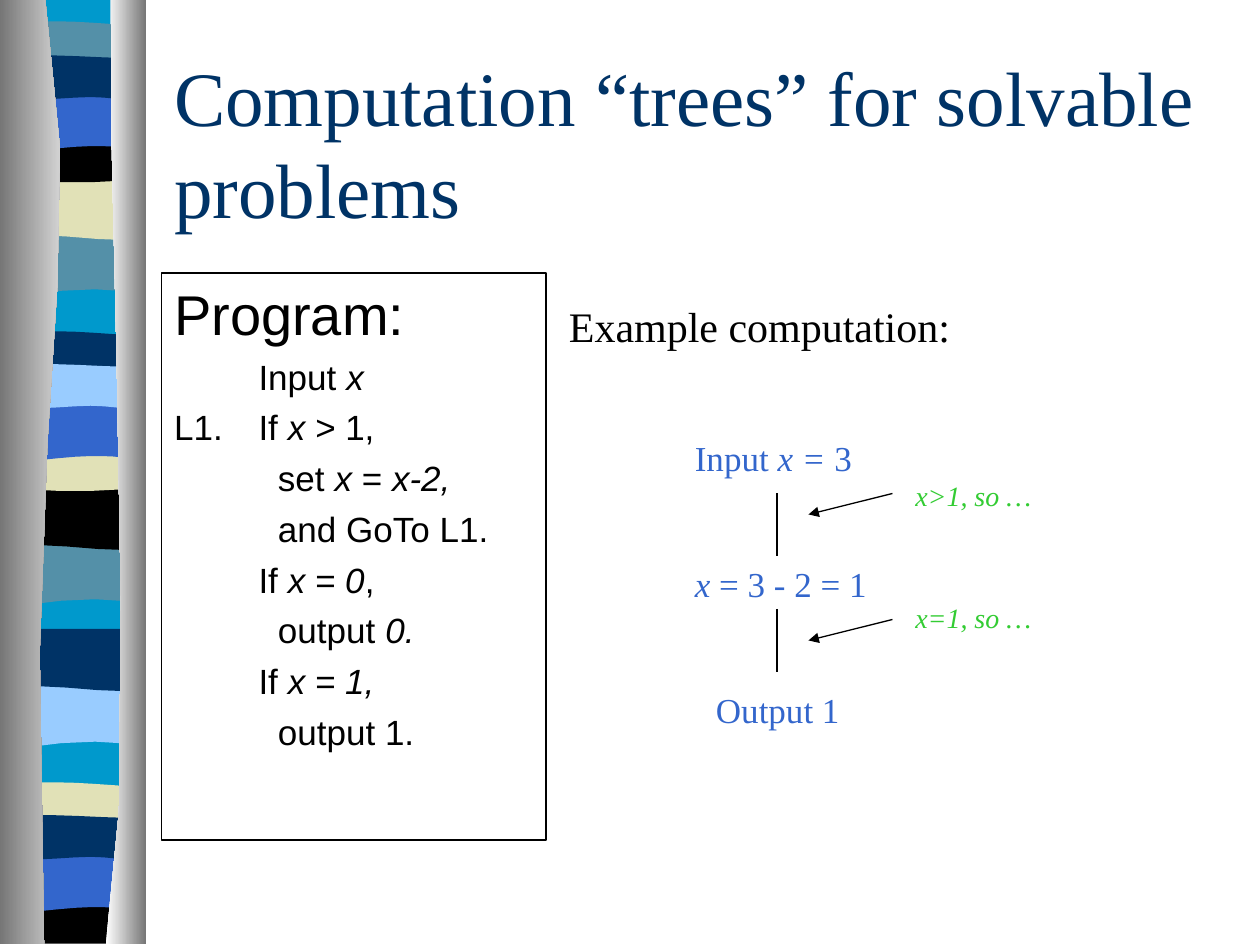
"""Build the slide on computation trees for solvable problems."""
from dataclasses import dataclass

import pptx
import pptx.dml.color
import pptx.enum.dml
import pptx.enum.shapes
import pptx.enum.text
import pptx.oxml
import pptx.oxml.ns
import pptx.util
from lxml import etree

RGBColor = pptx.dml.color.RGBColor
BLACK = RGBColor(0x00, 0x00, 0x00)
WHITE = RGBColor(0xFF, 0xFF, 0xFF)
GREY = RGBColor(0x76, 0x76, 0x76)
SILVER = RGBColor(0xD2, 0xD2, 0xD2)
NAVY = RGBColor(0x00, 0x33, 0x66)
BLUE = RGBColor(0x33, 0x66, 0xCC)
SKY = RGBColor(0x99, 0xCC, 0xFF)
CYAN = RGBColor(0x00, 0x99, 0xCC)
TEAL = RGBColor(0x54, 0x90, 0xA8)
SAND = RGBColor(0xE1, 0xE1, 0xB7)
GREEN = RGBColor(0x33, 0xCC, 0x33)

WIDTH, HEIGHT = pptx.util.Inches(10), pptx.util.Inches(7.5)
COLUMNS, ROWS = 120, 90
SERIF, SANS = "Times New Roman", "Arial"
CURVE_STEPS = 5

Outline = list[tuple[float, ...]]

FALL: Outline = [(1.14, 0), (1.14, 0.47), (0.39, 0.39, 0.23, 0.55, 0.05, 0.47), (0.05, 0)]
SWELL: Outline = [(1.14, 0), (1.14, 0.47), (0.96, 0.55, 0.39, 0.41, 0.05, 0.47), (0.05, 0)]
RIPPLE: Outline = [(1.14, 0.05), (1.14, 0.29), (0.96, 0.34, 0.24, 0.34, 0.05, 0.29), (0.05, 0.05),
                   (0.13, 0, 0.29, 0.01, 0.47, 0.01), (0.65, 0.01, 1, 0.04, 1.14, 0.05)]
SAG: Outline = [(1.14, 0), (1.14, 0.33), (0.96, 0.38, 0.23, 0.38, 0.05, 0.33), (0.05, 0),
                (0.72, 0.05, 0.91, 0, 1.14, 0)]
FOOT: Outline = [(1.14, 0), (1.14, 0.37), (0.05, 0.37), (0.05, 0), (0.72, 0.05, 0.91, 0, 1.14, 0)]
ARCH: Outline = [(1.14, 0), (1.14, 0.47), (0.97, 0.42, 0.9, 0.42, 0.72, 0.42),
                 (0.54, 0.42, 0.22, 0.47, 0.05, 0.47), (0.05, 0)]
WAVE: Outline = [(1.14, 0.05), (1.14, 0.36), (1.07, 0.41, 0.9, 0.36, 0.72, 0.36),
                 (0.54, 0.36, 0.17, 0.41, 0.05, 0.36), (0.05, 0.05),
                 (0.21, 0, 0.79, 0.05, 0.97, 0.05)]
RIBBON: Outline = [(1.14, 0), (1.14, 7.47), (0.05, 7.47), (0.05, 0)]
LEFT_PILLAR: Outline = [(0.36, 0), (0.71, 2.16, 0.17, 2.96, 0.35, 7.49), (0, 7.49), (0, 0)]
RIGHT_PILLAR: Outline = [(0.88, 0), (0.84, 1.25, 1.11, 6.46, 0.84, 7.49), (1.16, 7.49), (1.16, 0)]


@dataclass(frozen=True)
class Band:
    """A coloured stripe of the ribbon, its top in inches."""
    outline: Outline
    top: float
    color: RGBColor


@dataclass(frozen=True)
class Label:
    """A text box placed by grid column and row."""
    text: str
    col: float
    row: float
    cols: float
    rows: float
    size: int
    color: RGBColor


@dataclass(frozen=True)
class Link:
    """A straight line between two grid points."""
    start: tuple[float, float]
    end: tuple[float, float]
    arrow: bool = False


BANDS = [
    Band(RIBBON, 0, CYAN), Band(FALL, 1.85, TEAL), Band(SWELL, 1.41, SAND),
    Band(RIPPLE, 0.16, TEAL), Band(SAG, 1.08, BLACK), Band(ARCH, 0.74, BLUE),
    Band(WAVE, 0.41, NAVY), Band(FALL, 4.31, TEAL), Band(SWELL, 3.87, BLACK),
    Band(RIPPLE, 2.62, NAVY), Band(SAG, 3.53, SAND), Band(ARCH, 3.2, BLUE),
    Band(WAVE, 2.86, SKY), Band(FALL, 5.44, SKY), Band(SWELL, 4.99, NAVY),
    Band(RIPPLE, 6.2, SAND), Band(FOOT, 7.12, BLACK), Band(ARCH, 6.78, BLUE),
    Band(WAVE, 6.44, NAVY),
]
LABELS = [
    Label("Example computation:", 53, 28, 45, 6, 24, BLACK),
    Label("Input *x = *3", 65, 41, 19, 5.3, 20, BLUE),
    Label("*x* = 3 - 2 = 1", 65, 53, 19, 5.3, 20, BLUE),
    Label("*x>1, so …*", 86, 45, 14, 4.4, 16, GREEN),
    Label("*x=1, so …*", 86, 56.6, 14, 4.4, 16, GREEN),
    Label("Output 1", 67, 65, 15, 5.3, 20, BLUE),
]
LINKS = [
    Link((74, 47), (74, 53)), Link((74, 58), (74, 64)),
    Link((85, 47), (77, 49), True), Link((85, 59), (77, 61), True),
]
PROGRAM = [
    "\tInput *x*", "L1.\tIf *x > *1,", "\t  set *x* = *x-2,*", "\t  and GoTo L1.",
    "\tIf *x = 0*,", "\t  output *0.*", "\tIf *x = 1,*", "\t  output 1.",
]


def grid(col: float, row: float) -> tuple[int, int]:
    """Turn a grid column and row into slide lengths."""
    return round(WIDTH * col / COLUMNS), round(HEIGHT * row / ROWS)


def flatten(outline: Outline) -> list[tuple[float, float]]:
    """Turn an outline of points and cubic curves into points."""
    points = []
    for part in outline:
        if len(part) == 2:
            points.append(part)
            continue
        x0, y0 = points[-1]
        x1, y1, x2, y2, x3, y3 = part
        for i in range(1, CURVE_STEPS + 1):
            t = i / CURVE_STEPS
            a, b, c, d = (1 - t) ** 3, 3 * t * (1 - t) ** 2, 3 * t * t * (1 - t), t ** 3
            points.append((a * x0 + b * x1 + c * x2 + d * x3, a * y0 + b * y1 + c * y2 + d * y3))
    return points


def draw_outline(s, outline: Outline, top: float, *colors: RGBColor) -> None:
    """Draw an outline filled with one colour or a left-to-right gradient."""
    points = [(pptx.util.Inches(x), pptx.util.Inches(y + top)) for x, y in flatten(outline)]
    builder = s.shapes.build_freeform(*points[0])
    builder.add_line_segments(points[1:], close=True)
    sp = builder.convert_to_shape()
    sp.shadow.inherit = False
    sp.line.fill.background()
    if len(colors) == 1:
        sp.fill.solid()
        sp.fill.fore_color.rgb = colors[0]
        return
    sp.fill.gradient()
    sp.fill.gradient_angle = 0
    for stop, color in zip(sp.fill.gradient_stops, colors):
        stop.color.rgb = color


def write(p, text: str, *, size: int, color: RGBColor, font: str = SERIF,
          before: float = 0, hanging: float = 0) -> None:
    """Fill a paragraph, setting the parts between asterisks in italics."""
    if hanging:
        indent = pptx.util.Inches(hanging)
        p._p.get_or_add_pPr().set("marL", str(indent))
        p._p.get_or_add_pPr().set("indent", str(-indent))
    p.space_before = pptx.util.Pt(before)
    for i, part in enumerate(text.split("*")):
        if part:
            r = p.add_run()
            r.text = part
            r.font.name = font
            r.font.size = pptx.util.Pt(size)
            r.font.color.rgb = color
            r.font.italic = i % 2 == 1


def add_box(s, col: float, row: float, cols: float, rows: float):
    """Add a wrapping text box on the grid."""
    sp = s.shapes.add_textbox(*grid(col, row), *grid(cols, rows))
    sp.text_frame.word_wrap = True
    return sp


def draw_label(s, label: Label) -> None:
    """Draw a one-line label that grows with its text."""
    tf = add_box(s, label.col, label.row, label.cols, label.rows).text_frame
    tf.auto_size = pptx.enum.text.MSO_AUTO_SIZE.SHAPE_TO_FIT_TEXT
    write(tf.paragraphs[0], label.text, size=label.size, color=label.color)


def draw_link(s, link: Link) -> None:
    """Draw a thin line, with an arrowhead at its end if asked."""
    kind = pptx.enum.shapes.MSO_CONNECTOR.STRAIGHT
    sp = s.shapes.add_connector(kind, *grid(*link.start), *grid(*link.end))
    sp.line.color.rgb = BLACK
    sp.line.width = pptx.util.Pt(0.75)
    if link.arrow:
        etree.SubElement(sp.line._get_or_add_ln(), pptx.oxml.ns.qn("a:tailEnd"), type="triangle")
    etree.SubElement(sp._element.spPr, pptx.oxml.ns.qn("a:effectLst"))


def draw_program(s) -> None:
    """Draw the framed program listing."""
    sp = add_box(s, 15.4, 26, 36.6, 54)
    sp.line.color.rgb = BLACK
    sp.line.width = pptx.util.Pt(0.75)
    tf = sp.text_frame
    write(tf.paragraphs[0], "Program:", size=32, color=BLACK, font=SANS, hanging=0.67)
    for line in PROGRAM:
        write(tf.add_paragraph(), line, size=20, color=BLACK, font=SANS, before=5, hanging=0.67)


def main() -> None:
    """Build and save the slide."""
    prs = pptx.Presentation()
    prs.slide_width, prs.slide_height = WIDTH, HEIGHT
    s = prs.slides.add_slide(prs.slide_layouts[6])
    for band in BANDS:
        draw_outline(s, band.outline, band.top, band.color)
    draw_outline(s, LEFT_PILLAR, 0, GREY, SILVER)
    draw_outline(s, RIGHT_PILLAR, 0, WHITE, GREY)
    tf = add_box(s, 15.4, 6, 102, 15).text_frame
    tf.vertical_anchor = pptx.enum.text.MSO_ANCHOR.MIDDLE
    write(tf.paragraphs[0], "Computation “trees” for solvable problems", size=44, color=NAVY)
    draw_program(s)
    for label in LABELS:
        draw_label(s, label)
    for link in LINKS:
        draw_link(s, link)
    prs.save("out.pptx")


if __name__ == "__main__":
    main()
